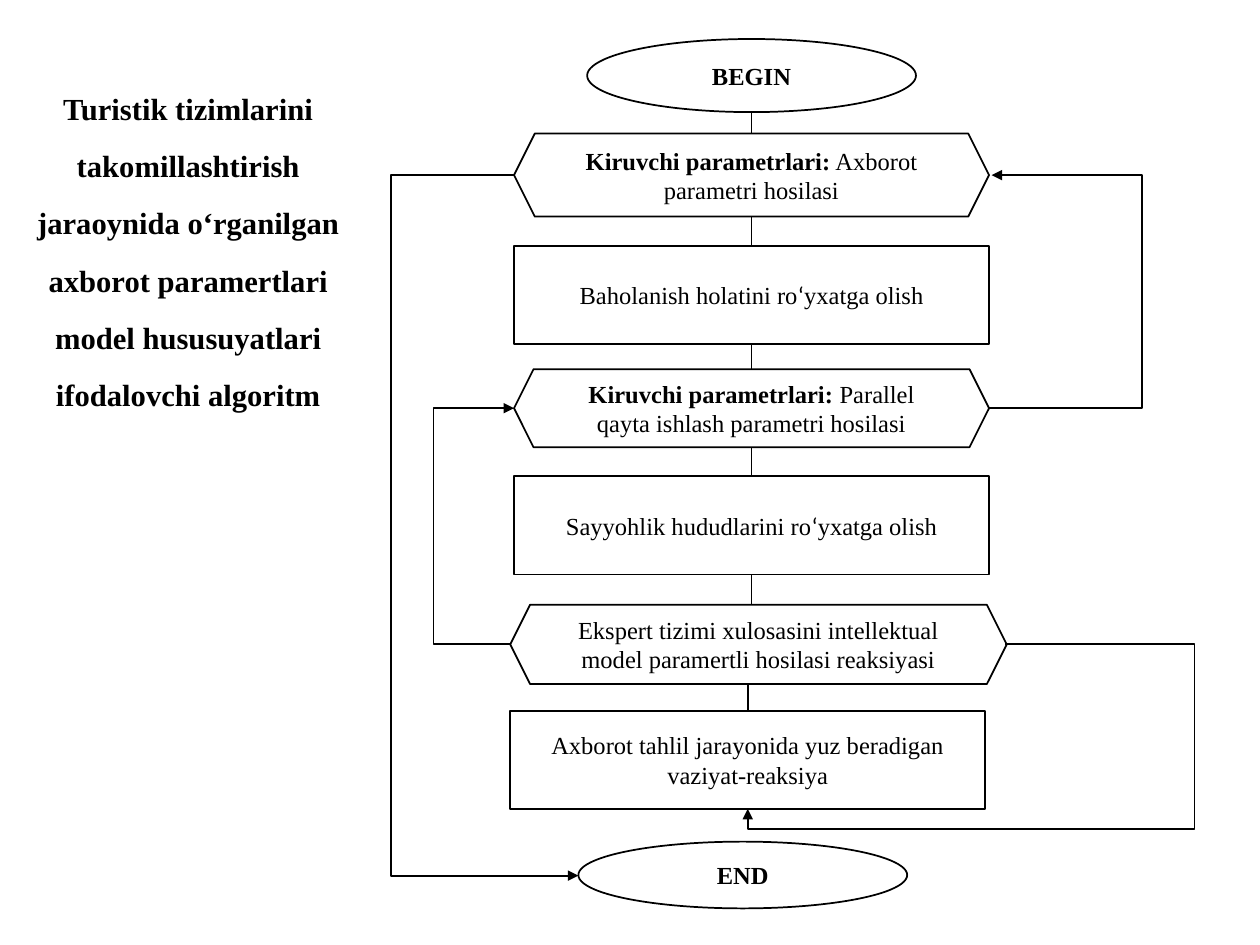
"""Build a flowchart slide of the tourism information parameter algorithm."""
from dataclasses import dataclass

from lxml import etree
from pptx import Presentation
from pptx import util as u
from pptx.dml.color import RGBColor
from pptx.enum import shapes, text
from pptx.oxml.ns import qn


@dataclass(frozen=True)
class Theme:
    ink: RGBColor = RGBColor(0, 0, 0)
    paper: RGBColor = RGBColor(255, 255, 255)
    face: str = "Times New Roman"
    quote_face: str = "Calibri"
    heading_size: float = 17.5
    step_size: float = 14
    stroke: float = 1


theme = Theme()
deck = Presentation()
deck.slide_width, deck.slide_height = u.Inches(10), u.Inches(7.5)
COL, ROW = deck.slide_width / 100, deck.slide_height / 75
slide = deck.slides.add_slide(deck.slide_layouts[6])

OVAL = shapes.MSO_SHAPE.OVAL
HEXAGON = shapes.MSO_SHAPE.HEXAGON
BOX = shapes.MSO_SHAPE.RECTANGLE
PLAIN, BOLD, QUOTE = "plain", "bold", "quote"


def write(frame, runs, size):
    frame.word_wrap = True
    paragraph = frame.paragraphs[0]
    paragraph.alignment = text.PP_ALIGN.CENTER
    paragraph.font.size = u.Pt(size)
    paragraph.font.name = theme.face
    paragraph.font.color.rgb = theme.ink
    for words, style in runs:
        run = paragraph.add_run()
        run.text = words
        if style == BOLD:
            run.font.bold = True
        if style == QUOTE:
            run.font.name = theme.quote_face
    return paragraph


def link(kind, start, end):
    line = slide.shapes.add_connector(
        kind, round(start[0] * COL), round(start[1] * ROW), round(end[0] * COL), round(end[1] * ROW))
    line.line.color.rgb = theme.ink
    line.line.width = u.Pt(theme.stroke)
    etree.SubElement(line._element.spPr, qn("a:effectLst"))
    return line


heading = slide.shapes.add_textbox(
    round(1.6 * COL), round(5 * ROW), round(26.7 * COL), round(28.7 * ROW))
heading_line = write(heading.text_frame, [(
    "Turistik tizimlarini takomillashtirish jaraoynida o‘rganilgan axborot paramertlari "
    "model hususuyatlari ifodalovchi algoritm", BOLD)], theme.heading_size)
heading_line.line_spacing = 1.56

steps = [
    (OVAL, 46.6, 3.1, 26.1, 5.8, [("BEGIN", BOLD)]),
    (HEXAGON, 40.8, 10.6, 37.7, 6.6,
     [("Kiruvchi parametrlari:", BOLD), (" Axborot parametri hosilasi", PLAIN)]),
    (BOX, 40.8, 19.5, 37.7, 7.8,
     [("Baholanish holatini ro", PLAIN), ("‘", QUOTE), ("yxatga olish", PLAIN)]),
    (HEXAGON, 40.8, 29.3, 37.7, 6.2,
     [("Kiruvchi parametrlari:", BOLD), (" Parallel qayta ishlash parametri hosilasi", PLAIN)]),
    (BOX, 40.8, 37.8, 37.7, 7.8,
     [("Sayyohlik hududlarini ro", PLAIN), ("‘", QUOTE), ("yxatga olish", PLAIN)]),
    (HEXAGON, 40.5, 48, 39.4, 6.3,
     [("Ekspert tizimi xulosasini intellektual model paramertli hosilasi reaksiyasi", PLAIN)]),
    (BOX, 40.5, 56.4, 37.7, 7.8,
     [("Axborot tahlil jarayonida yuz beradigan vaziyat-reaksiya", PLAIN)]),
    (OVAL, 45.9, 66.8, 26.1, 5.3, [("END", BOLD)]),
]
drawn = []
for kind, left, top, width, height, runs in steps:
    step = slide.shapes.add_shape(
        kind, round(left * COL), round(top * ROW), round(width * COL), round(height * ROW))
    step.shadow.inherit = False
    step.fill.solid()
    step.fill.fore_color.rgb = theme.paper
    step.line.color.rgb = theme.ink
    step.line.width = u.Pt(theme.stroke)
    step.text_frame.vertical_anchor = text.MSO_ANCHOR.MIDDLE
    write(step.text_frame, runs, theme.step_size)
    drawn.append(step)

for above in range(len(steps) - 2):
    upper, lower = steps[above], steps[above + 1]
    guide = lower if lower[0] == BOX else upper
    axis = guide[1] + guide[3] / 2
    stem = link(shapes.MSO_CONNECTOR.STRAIGHT, (axis, upper[2] + upper[4]), (axis, lower[2]))
    if upper[0] == BOX:
        stem.begin_connect(drawn[above], 2)
    if lower[0] == BOX:
        stem.end_connect(drawn[above + 1], 0)

routes = [
    ((78.5, 32.4), (78.7, 13.9), 90.6, None),
    ((40.8, 13.9), (45.9, 69.5), 31, None),
    ((40.5, 51.1), (40.8, 32.4), 34.4, None),
    ((79.8, 51.1), (59.35, 64.2), 94.8, 65.8),
]
for start, end, turn_col, turn_row in routes:
    route = link(shapes.MSO_CONNECTOR.ELBOW, start, end)
    bends = [(turn_col - start[0]) / (end[0] - start[0])]
    if turn_row is not None:
        bends.append((turn_row - start[1]) / (end[1] - start[1]))
    outline = route._element.spPr.find(qn("a:prstGeom"))
    outline.set("prst", f"bentConnector{len(bends) + 2}")
    guides = outline.find(qn("a:avLst"))
    if guides is None:
        guides = etree.SubElement(outline, qn("a:avLst"))
    for number, bend in enumerate(bends, 1):
        etree.SubElement(guides, qn("a:gd"), name=f"adj{number}", fmla=f"val {round(bend * 100000)}")
    etree.SubElement(route.line._get_or_add_ln(), qn("a:tailEnd"), type="triangle")

deck.save("out.pptx")
